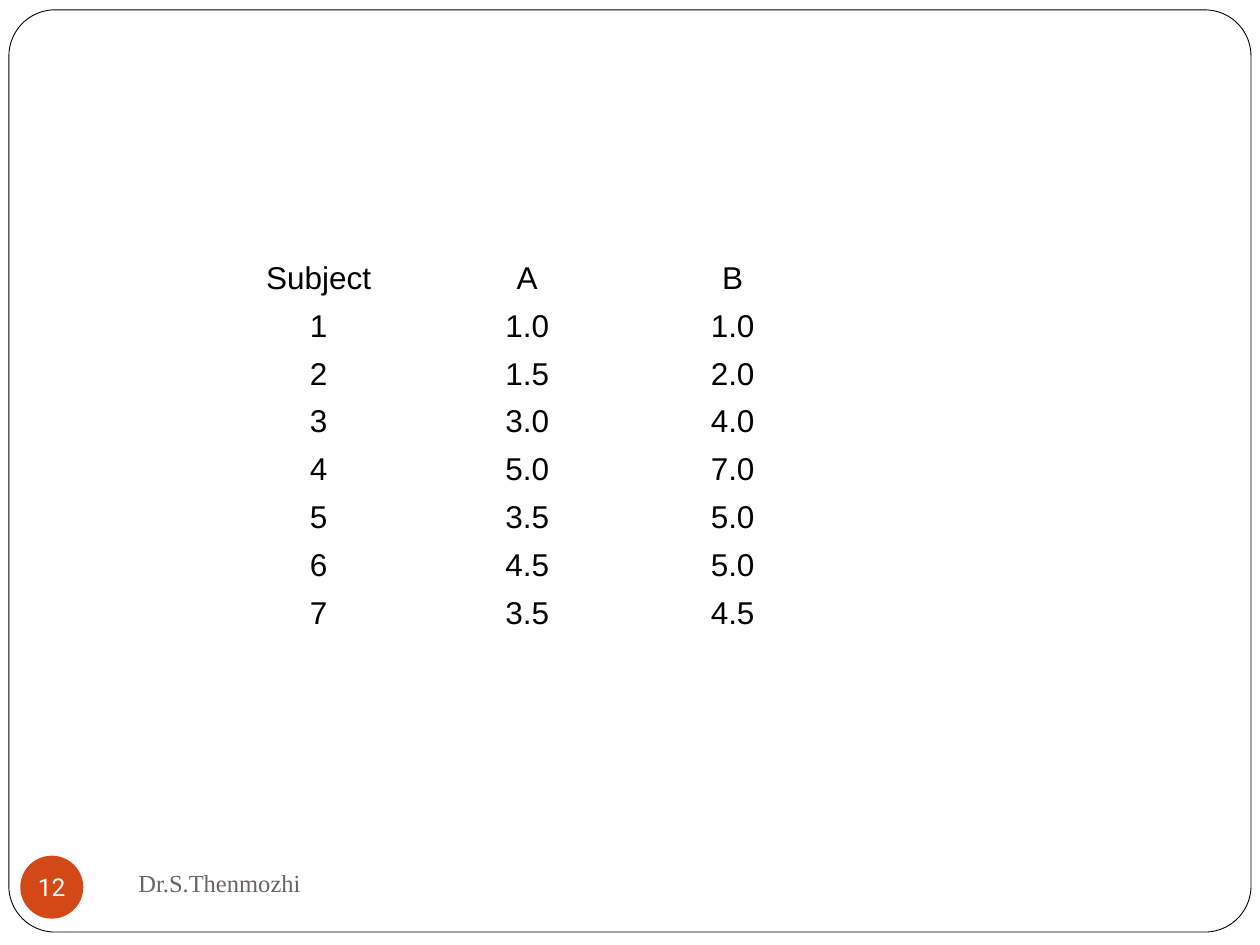
from dataclasses import dataclass

from pptx import Presentation
from pptx.dml.color import RGBColor
from pptx.enum.shapes import MSO_SHAPE
from pptx.enum.text import MSO_ANCHOR, PP_ALIGN
from pptx.util import Cm, Pt


@dataclass(frozen=True)
class Theme:
    paper: str = "FFFFFF"
    ink: str = "000000"
    gray: str = "696464"
    accent: str = "D34817"
    body: int = 18
    small: int = 14
    sans: str = "Arial"
    serif: str = "Times New Roman"
    badge: str = "Roboto"


@dataclass(frozen=True)
class Box:
    left: float
    top: float
    width: float
    height: float

    def place(self) -> tuple:
        return Cm(self.left), Cm(self.top), Cm(self.width), Cm(self.height)


@dataclass(frozen=True)
class Score:
    subject: str
    a: str
    b: str

    def cells(self) -> tuple:
        return self.subject, self.a, self.b


THEME = Theme()
SCORES = [
    Score("Subject", "A", "B"),
    Score("1", "1.0", "1.0"),
    Score("2", "1.5", "2.0"),
    Score("3", "3.0", "4.0"),
    Score("4", "5.0", "7.0"),
    Score("5", "3.5", "5.0"),
    Score("6", "4.5", "5.0"),
    Score("7", "3.5", "4.5"),
]
WIDTHS = (4.27, 4.14, 4.14)


def write(frame, text: str, *, font: str, size: int, color: str,
          align=PP_ALIGN.CENTER) -> None:
    para = frame.paragraphs[0]
    para.alignment = align
    run = para.add_run()
    run.text = text
    run.font.name = font
    run.font.size = Pt(size)
    run.font.color.rgb = RGBColor.from_string(color)


def paint(fill, color: str) -> None:
    fill.solid()
    fill.fore_color.rgb = RGBColor.from_string(color)


def add_form(slide, kind, box: Box, color: str):
    form = slide.shapes.add_shape(kind, *box.place())
    form.shadow.inherit = False
    paint(form.fill, color)
    form.line.fill.background()
    return form


def add_border(slide, box: Box) -> None:
    border = add_form(slide, MSO_SHAPE.ROUNDED_RECTANGLE, box, THEME.paper)
    border.adjustments[0] = 0.05
    paint(border.line.fill, THEME.ink)
    border.line.width = Pt(0.5)


def add_scores(slide, box: Box) -> None:
    table = slide.shapes.add_table(len(SCORES), len(WIDTHS), *box.place()).table
    table.first_row = table.horz_banding = False
    for column, width in zip(table.columns, WIDTHS):
        column.width = Cm(width)
    for row, score in zip(table.rows, SCORES):
        row.height = Cm(box.height / len(SCORES))
        for cell, text in zip(row.cells, score.cells()):
            paint(cell.fill, THEME.paper)
            cell.vertical_anchor = MSO_ANCHOR.MIDDLE
            cell.margin_top = cell.margin_bottom = Cm(0.1)
            write(cell.text_frame, text, font=THEME.sans, size=THEME.body,
                  color=THEME.ink)


def add_footer(slide, box: Box, text: str) -> None:
    frame = slide.shapes.add_textbox(*box.place()).text_frame
    frame.word_wrap = True
    frame.vertical_anchor = MSO_ANCHOR.MIDDLE
    write(frame, text, font=THEME.serif, size=THEME.small, color=THEME.gray,
          align=PP_ALIGN.LEFT)


def add_badge(slide, box: Box, text: str) -> None:
    frame = add_form(slide, MSO_SHAPE.OVAL, box, THEME.accent).text_frame
    frame.margin_left = frame.margin_right = 0
    frame.margin_top = frame.margin_bottom = 0
    frame.word_wrap = False
    frame.vertical_anchor = MSO_ANCHOR.MIDDLE
    write(frame, text, font=THEME.badge, size=THEME.small, color=THEME.paper)


def main() -> None:
    deck = Presentation()
    deck.slide_width, deck.slide_height = Cm(25.4), Cm(19.05)
    slide = deck.slides.add_slide(deck.slide_layouts[6])
    paint(slide.background.fill, THEME.paper)
    add_border(slide, Box(0.18, 0.2, 25.04, 18.59))
    add_scores(slide, Box(4.29, 5.13, sum(WIDTHS), 7.72))
    add_footer(slide, Box(2.54, 17.15, 11, 1.27), "Dr.S.Thenmozhi")
    add_badge(slide, Box(0.41, 17.25, 1.27, 1.27), "12")
    deck.save("out.pptx")


if __name__ == "__main__":
    main()
